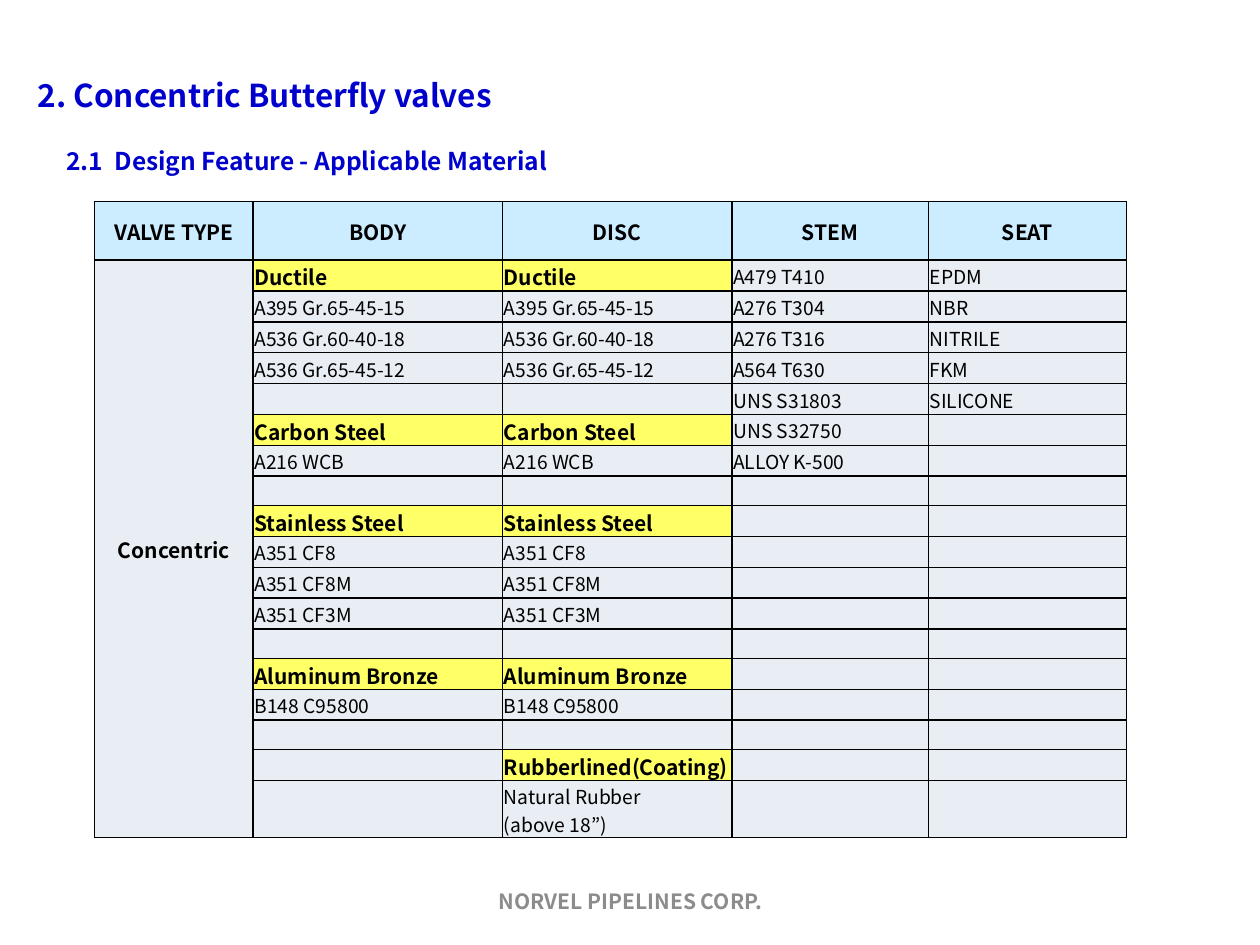
from dataclasses import dataclass
from itertools import zip_longest

from lxml import etree
from pptx import Presentation
from pptx import util as u
from pptx.dml.color import RGBColor
from pptx.enum import text as t
from pptx.oxml import parse_xml
from pptx.oxml.ns import nsdecls, qn


@dataclass(frozen=True)
class Theme:
    face: str = "Noto Sans CJK KR"
    ink: str = "000000"
    blue: str = "0000CC"
    grey: str = "8C8C8C"
    sky: str = "CCECFF"
    pale: str = "E9EDF4"
    mark: str = "FFFF66"
    title: int = 18
    sub: int = 14
    head: int = 12
    body: int = 11


LEFT, MID = t.PP_ALIGN.LEFT, t.PP_ALIGN.CENTER
HEADS = ["VALVE TYPE", "BODY", "DISC", "STEM", "SEAT"]
WIDTHS = [12.6, 19.8, 18.2, 15.6, 15.7]
FAMILIES = {"Ductile", "Carbon Steel", "Stainless Steel",
            "Aluminum Bronze", "Rubberlined(Coating)"}
METALS = ["Ductile", "A395 Gr.65-45-15", "A536 Gr.60-40-18",
          "A536 Gr.65-45-12", "",
          "Carbon Steel", "A216 WCB", "",
          "Stainless Steel", "A351 CF8", "A351 CF8M", "A351 CF3M", "",
          "Aluminum Bronze", "B148 C95800"]
LINED = ["", "Rubberlined(Coating)", "Natural Rubber\n(above 18”)"]
STEMS = ["A479 T410", "A276 T304", "A276 T316", "A564 T630",
         "UNS S31803", "UNS S32750", "ALLOY K-500"]
SEATS = ["EPDM", "NBR", "NITRILE", "FKM", "SILICONE"]
COLUMNS = [["Concentric"], METALS, METALS + LINED, STEMS, SEATS]
TOP, ROW, GAP, PAIR = 6.2, 3.27, 3.12, 6.05  # row heights


def write(frame, words, face, size, color, bold=False, align=LEFT):
    """Fill a text frame, one paragraph per line; empty ones keep the size."""
    for i, line in enumerate(words.split("\n")):
        para = frame.add_paragraph() if i else frame.paragraphs[0]
        para.alignment = align
        if not line:
            end = etree.SubElement(para._p, qn("a:endParaRPr"),
                                   sz=str(size * 100))
            for tag in ("a:latin", "a:ea"):
                etree.SubElement(end, qn(tag), typeface=face)
            continue
        run = para.add_run()
        run.text = line
        font = run.font
        font.name, font.size, font.bold = face, u.Pt(size), bold
        font.color.rgb = RGBColor.from_string(color)
        etree.SubElement(run._r.get_or_add_rPr(), qn("a:ea"), typeface=face)


def tall(row):
    """Height of a row: two lines, one line, or a gap."""
    if any("\n" in words for words in row):
        return PAIR
    return ROW if any(row) else GAP


class Page:
    """Holds the theme and the slide; lengths are percent of slide size."""

    def __init__(self, deck, theme):
        self.deck, self.theme = deck, theme
        self.slide = deck.slides.add_slide(deck.slide_layouts[6])

    def wide(self, share):
        return round(self.deck.slide_width * share / 100)

    def high(self, share):
        return round(self.deck.slide_height * share / 100)

    def label(self, words, x, y, w, h, **fmt):
        box = self.slide.shapes.add_textbox(
            self.wide(x), self.high(y), self.wide(w), self.high(h))
        frame = box.text_frame
        frame.word_wrap = True
        frame.vertical_anchor = t.MSO_ANCHOR.MIDDLE
        write(frame, words, self.theme.face, bold=True, **fmt)

    def cell(self, cell, words, fill, **fmt):
        cell.margin_left = cell.margin_right = cell.margin_top = u.Inches(0.01)
        cell.margin_bottom = 0
        cell.vertical_anchor = t.MSO_ANCHOR.MIDDLE
        props = cell._tc.get_or_add_tcPr()
        for side in "LRTB":
            props.append(parse_xml(
                f'<a:ln{side} {nsdecls("a")} w="12700"><a:solidFill>'
                f'<a:srgbClr val="{self.theme.ink}"/></a:solidFill></a:ln{side}>'))
        cell.fill.solid()
        cell.fill.fore_color.rgb = RGBColor.from_string(fill)
        write(cell.text_frame, words, self.theme.face,
              color=self.theme.ink, **fmt)

    def table(self, heads, columns, x, y, widths):
        look = self.theme
        rows = list(zip_longest(*columns, fillvalue=""))
        heights = [TOP] + [tall(row) for row in rows]
        grid = self.slide.shapes.add_table(
            len(heights), len(widths), self.wide(x), self.high(y),
            self.wide(sum(widths)), self.high(sum(heights))).table
        for col, width in zip(grid.columns, widths):
            col.width = self.wide(width)
        for row, height in zip(grid.rows, heights):
            row.height = self.high(height)
        for c, head in enumerate(heads):
            self.cell(grid.cell(0, c), head, look.sky,
                      size=look.head, bold=True, align=MID)
        for r, row in enumerate(rows, 1):
            for c, words in enumerate(row):
                family = words in FAMILIES
                bold = family or c == 0
                self.cell(grid.cell(r, c), words,
                          look.mark if family else look.pale,
                          size=look.head if bold and words else look.body,
                          bold=bold, align=LEFT if c else MID)
        grid.cell(1, 0).merge(grid.cell(len(rows), 0))


def main():
    deck = Presentation()
    deck.slide_width, deck.slide_height = u.Inches(10), u.Inches(7.5)
    look = Theme()
    page = Page(deck, look)
    page.label("NORVEL PIPELINES CORP.", 34.2, 92.67, 31.7, 5.33,
               size=look.head, color=look.grey, align=MID)
    page.label("2.1  Design Feature - Applicable Material",
               4.3, 12.8, 72.4, 8.4, size=look.sub, color=look.blue)
    page.label("2. Concentric Butterfly valves",
               2, 5.87, 72.4, 8.4, size=look.title, color=look.blue)
    page.table(HEADS, COLUMNS, 7.5, 21.33, WIDTHS)
    deck.save("out.pptx")


if __name__ == "__main__":
    main()
